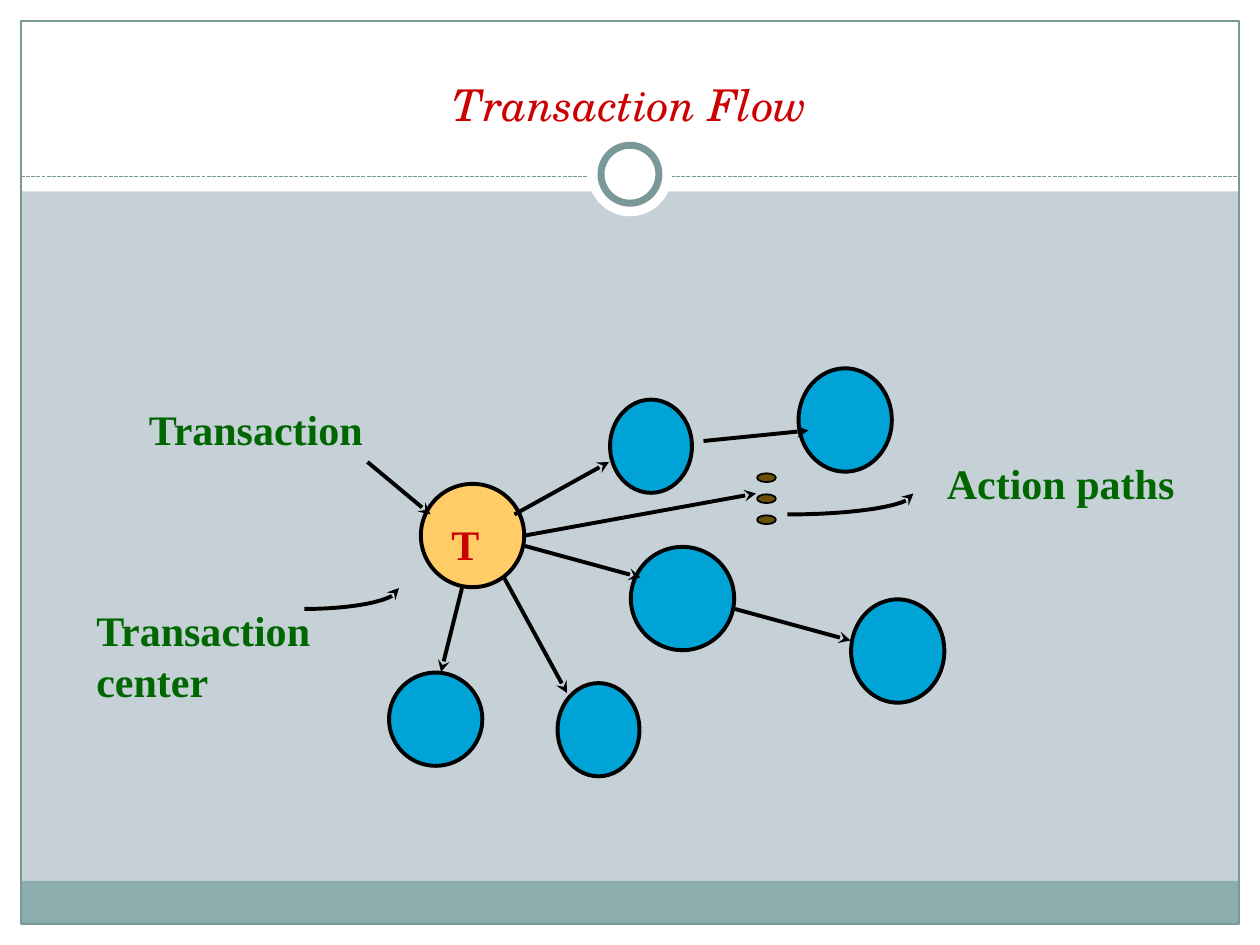
from math import cos, pi, sin
from typing import NamedTuple

from lxml.etree import SubElement
from pptx import Presentation
from pptx.dml.color import RGBColor
from pptx.enum.dml import MSO_LINE
from pptx.enum.shapes import MSO_CONNECTOR, MSO_SHAPE
from pptx.enum.text import MSO_ANCHOR, MSO_AUTO_SIZE, PP_ALIGN
from pptx.oxml.ns import qn
from pptx.util import Inches, Length, Pt

COLUMNS_PER_INCH = 12  # the slide is a grid of 120 columns by 90 rows
BLACK, WHITE, RED, GREEN = "000000", "FFFFFF", "CC0000", "006600"
BLUE, GOLD, BROWN = "00A3D6", "FFCC66", "694F07"
TEAL, BAND, BACKGROUND = "7B9899", "8CADAE", "C5D1D7"
SMALL, MEDIUM, LARGE = 7.8, 8.88, 9.84


class Box(NamedTuple):
    left: float
    top: float
    width: float
    height: float


class Node(NamedTuple):
    center_x: float
    center_y: float
    width: float
    height: float
    fill: str = BLUE
    line: str | None = BLACK
    weight: float = 2.25


class Arrow(NamedTuple):
    from_x: float
    from_y: float
    to_x: float
    to_y: float


class Label(NamedTuple):
    box: Box
    text: str
    color: str = GREEN
    wrap: bool = True


STRIPS = [
    (Box(0, 88, 120, 2), WHITE),
    (Box(0, 0, 120, 18.24), WHITE),
    (Box(0, 0, 2, 90), WHITE),
    (Box(118, 0, 2, 90), WHITE),
    (Box(2, 83.9, 116, 4.1), BAND),
]
RING = [
    Node(60, 16.6, 8, 8, WHITE, None),
    Node(60, 16.6, 5.52, 5.52, WHITE, TEAL, 4),
]
NODES = [
    Node(45, 51, LARGE, LARGE, GOLD),
    Node(62, 42.5, SMALL, MEDIUM),
    Node(41.5, 68.5, MEDIUM, MEDIUM),
    Node(65, 57, LARGE, LARGE),
    Node(57, 69.5, SMALL, MEDIUM),
    Node(85.5, 62, MEDIUM, LARGE),
    Node(80.5, 40, MEDIUM, LARGE),
]
DOTS = [Node(73, 45.5 + 2 * row, 1.8, 0.84, BROWN, BLACK, 1) for row in range(3)]
ARROWS = [
    Arrow(35, 44, 41, 49),
    Arrow(49, 49, 58, 44),
    Arrow(67, 42, 77, 41),
    Arrow(44, 56, 42, 64),
    Arrow(48, 55, 54, 66),
    Arrow(50, 52, 61, 55),
    Arrow(70, 58, 81, 61),
    Arrow(50, 51, 72, 47),
]
POINTERS = [Box(29, 56, 9, 2), Box(75, 47, 12, 2)]
LABELS = [
    Label(Box(41.8, 48.8, 5, 6), "T", RED, wrap=False),
    Label(Box(8, 57, 23, 10.8), "Transaction\ncenter", wrap=False),
    Label(Box(13, 37.8, 24.1, 6), "Transaction"),
    Label(Box(89, 43, 27, 6), "Action paths"),
]


def grid(cells: float) -> Length:
    return Inches(cells / COLUMNS_PER_INCH)


def rgb(color: str) -> RGBColor:
    return RGBColor.from_string(color)


def paint(shape, fill: str | None, line: str | None, weight: float = 0.75) -> None:
    shape.shadow.inherit = False
    if fill:
        shape.fill.solid()
        shape.fill.fore_color.rgb = rgb(fill)
    else:
        shape.fill.background()
    if line:
        shape.line.color.rgb = rgb(line)
        shape.line.width = Pt(weight)
    else:
        shape.line.fill.background()


def add_rectangle(page, box: Box, fill: str | None, line: str | None = None) -> None:
    paint(page.shapes.add_shape(MSO_SHAPE.RECTANGLE, *map(grid, box)), fill, line)


def add_node(page, node: Node) -> None:
    box = Box(node.center_x - node.width / 2, node.center_y - node.height / 2,
              node.width, node.height)
    oval = page.shapes.add_shape(MSO_SHAPE.OVAL, *map(grid, box))
    paint(oval, node.fill, node.line, node.weight)


def add_line(page, arrow: Arrow, color: str, weight: float):
    line = page.shapes.add_connector(MSO_CONNECTOR.STRAIGHT, *map(grid, arrow))
    line.line.color.rgb = rgb(color)
    line.line.width = Pt(weight)
    SubElement(line._element.spPr, qn("a:effectLst"))
    return line


def add_arrowhead(shape) -> None:
    SubElement(shape.line._get_or_add_ln(), qn("a:tailEnd"), type="stealth")


def add_pointer(page, box: Box, steps: int = 24) -> None:
    """Draw a quarter-ellipse arrow from bottom left to top right."""
    angles = [pi / 2 * step / steps for step in range(steps + 1)]
    points = [(grid(box.left + box.width * sin(angle)),
               grid(box.top + box.height * cos(angle))) for angle in angles]
    builder = page.shapes.build_freeform(*points[0])
    builder.add_line_segments(points[1:], close=False)
    curve = builder.convert_to_shape()
    paint(curve, None, BLACK, 2.25)
    add_arrowhead(curve)


def format_text(frame, font: str, size: float, color: str,
                bold: bool = False, italic: bool = False) -> None:
    for para in frame.paragraphs:
        for span in para.runs:
            span.font.name = font
            span.font.size = Pt(size)
            span.font.bold = bold
            span.font.italic = italic
            span.font.color.rgb = rgb(color)


def add_label(page, label: Label) -> None:
    frame = page.shapes.add_textbox(*map(grid, label.box)).text_frame
    frame.text = label.text
    frame.word_wrap = label.wrap
    frame.auto_size = MSO_AUTO_SIZE.SHAPE_TO_FIT_TEXT
    format_text(frame, "Times New Roman", 24, label.color, bold=True)


def place_title(page, box: Box, text: str) -> None:
    title = page.shapes.title
    title.left, title.top, title.width, title.height = map(grid, box)
    frame = title.text_frame
    frame.text = text
    frame.vertical_anchor = MSO_ANCHOR.BOTTOM
    frame.auto_size = MSO_AUTO_SIZE.NONE
    frame.paragraphs[0].alignment = PP_ALIGN.CENTER
    format_text(frame, "TeX Gyre Schola", 25, RED, italic=True)
    page.shapes._spTree.append(title._element)  # in front of the white strips


def draw_frame(page) -> None:
    page.background.fill.solid()
    page.background.fill.fore_color.rgb = rgb(BACKGROUND)
    for box, fill in STRIPS:
        add_rectangle(page, box, fill)
    add_rectangle(page, Box(2, 2, 116, 86), None, TEAL)
    divider = add_line(page, Arrow(2, 16.8, 118, 16.8), TEAL, 0.75)
    divider.line.dash_style = MSO_LINE.SQUARE_DOT
    for circle in RING:
        add_node(page, circle)


def main() -> None:
    deck = Presentation()
    deck.slide_width, deck.slide_height = grid(120), grid(90)
    page = deck.slides.add_slide(deck.slide_layouts[5])
    draw_frame(page)
    place_title(page, Box(4, 3, 112, 10), "Transaction Flow")
    for node in NODES + DOTS:
        add_node(page, node)
    for arrow in ARROWS:
        add_arrowhead(add_line(page, arrow, BLACK, 2.25))
    for box in POINTERS:
        add_pointer(page, box)
    for label in LABELS:
        add_label(page, label)
    deck.save("out.pptx")


if __name__ == "__main__":
    main()
